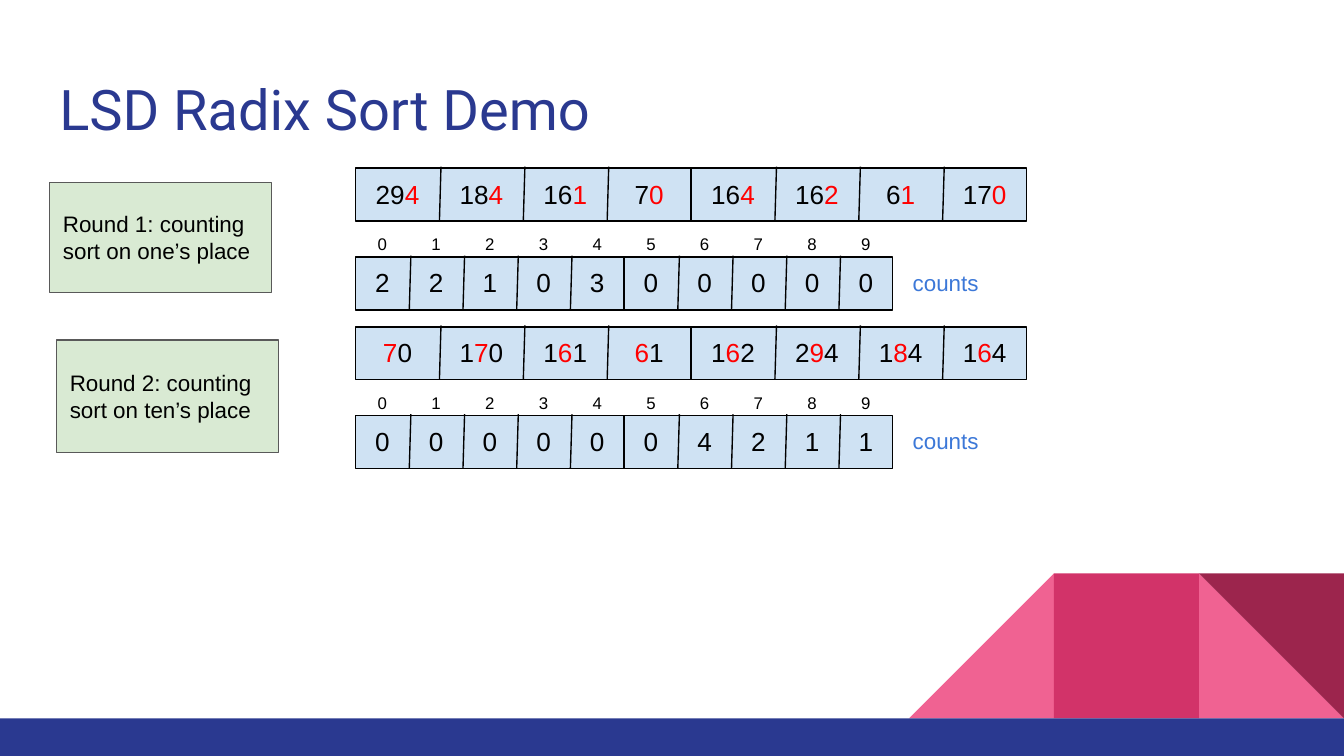
from dataclasses import dataclass

from lxml import etree
from pptx import Presentation
from pptx.dml.color import RGBColor as RGB
from pptx.enum.shapes import MSO_CONNECTOR as CONN, MSO_SHAPE as SHAPE
from pptx.enum.text import MSO_ANCHOR as ANCHOR, MSO_AUTO_SIZE as AUTO, PP_ALIGN as ALIGN
from pptx.oxml.ns import qn
from pptx.util import Cm, Pt


@dataclass(frozen=True)
class Theme:
    ink: str = "000000"
    hot: str = "FF0000"
    navy: str = "2A3990"
    label: str = "3C78D8"
    cell: str = "CFE2F3"
    note: str = "D9EAD3"
    note_line: str = "595959"
    pink: str = "F06292"
    rose: str = "D23369"
    wine: str = "9C254D"
    title_font: str = "Roboto"
    body_font: str = "Arial"
    title_size: int = 30
    value_size: int = 14
    text_size: int = 12
    index_size: int = 9
    line_width: float = 0.75


T = Theme()

prs = Presentation()
prs.slide_width, prs.slide_height = Cm(25.4), Cm(14.29)
s = prs.slides.add_slide(prs.slide_layouts[5])


def add_box(kind, x, y, w, h, fill, line=None):
    sp = s.shapes.add_shape(kind, Cm(x), Cm(y), Cm(w), Cm(h))
    sp.shadow.inherit = False
    sp.fill.solid()
    sp.fill.fore_color.rgb = RGB.from_string(fill)
    if line:
        sp.line.color.rgb = RGB.from_string(line)
        sp.line.width = Pt(T.line_width)
    else:
        sp.line.fill.background()
    return sp


def write(sp, runs, size, align=ALIGN.LEFT, anchor=ANCHOR.TOP, font=T.body_font):
    """Fill a shape with one paragraph of (text, colour) runs."""
    tf = sp.text_frame
    tf.word_wrap = True
    tf.auto_size = AUTO.NONE
    tf.vertical_anchor = anchor
    tf.margin_left = tf.margin_right = tf.margin_top = tf.margin_bottom = Cm(0.25)
    p = tf.paragraphs[0]
    p.alignment = align
    for text, colour in runs:
        r = p.add_run()
        r.text = text
        r.font.name = font
        r.font.size = Pt(size)
        r.font.color.rgb = RGB.from_string(colour)


# Corner decoration, in square tiles counted from the right edge
TILE, BAR_TOP = 2.74, 13.58
for kind, column, colour, flip, turn in [
    (SHAPE.RIGHT_TRIANGLE, 1, T.pink, False, 0),
    (SHAPE.RIGHT_TRIANGLE, 3, T.pink, True, 0),
    (SHAPE.RECTANGLE, 2, T.rose, False, 0),
    (SHAPE.RIGHT_TRIANGLE, 1, T.wine, False, 180),
]:
    sp = add_box(kind, 25.4 - column * TILE, BAR_TOP - TILE, TILE, TILE, colour)
    sp.rotation = turn
    if flip:
        sp.element.spPr.find(qn("a:xfrm")).set("flipH", "1")
add_box(SHAPE.RECTANGLE, 0, BAR_TOP, 25.4, 0.71, T.navy)

# Title
title = s.shapes.title
title.left, title.top, title.width, title.height = Cm(0.87), Cm(1.15), Cm(23.67), Cm(1.67)
write(title, [("LSD Radix Sort Demo", T.navy)], T.title_size, font=T.title_font)

# Rounds: note frame, note, values, highlighted digit (from the right), counts
rounds = [
    ((0.94, 3.45, 4.19, 2.08), "Round 1: counting sort on one’s place",
     "294 184 161 70 164 162 61 170", 1, "2 2 1 0 3 0 0 0 0 0"),
    ((1.07, 6.43, 4.19, 2.13), "Round 2: counting sort on ten’s place",
     "70 170 161 61 162 294 184 164", 2, "0 0 0 0 0 0 4 2 1 1"),
]
LEFT, ROW_H = 6.72, 1.02
VALUES_W, COUNTS_W = 12.68, 10.15
FIRST_TOP, ROUND_STEP = 3.15, 3.0

for n, (frame, note, values, place, counts) in enumerate(rounds):
    top = FIRST_TOP + n * ROUND_STEP
    counts_top = top + 1.68
    sp = add_box(SHAPE.RECTANGLE, *frame, T.note, T.note_line)
    write(sp, [(note, T.ink)], T.text_size, anchor=ANCHOR.MIDDLE)

    # Each value is split around the digit being sorted
    value_runs = []
    for v in values.split():
        i = len(v) - place
        parts = [(v[:i], T.ink), (v[i], T.hot), (v[i + 1:], T.ink)]
        value_runs.append([part for part in parts if part[0]])
    count_runs = [[(c, T.ink)] for c in counts.split()]

    # Arrays: two half bars, dividers inside each half, then the cell text
    for y, width, cells in [(top, VALUES_W, value_runs), (counts_top, COUNTS_W, count_runs)]:
        step = width / len(cells)
        half = len(cells) // 2
        for side in range(2):
            add_box(SHAPE.RECTANGLE, LEFT + side * width / 2, y + 0.03, width / 2, 1.0,
                    T.cell, T.ink)
        for i, runs in enumerate(cells):
            x = LEFT + i * step
            if i % half:
                line = s.shapes.add_connector(
                    CONN.STRAIGHT, Cm(x + 0.03), Cm(y), Cm(x), Cm(y + ROW_H))
                line.line.color.rgb = RGB.from_string(T.ink)
                line.line.width = Pt(T.line_width)
                etree.SubElement(line.element.spPr, qn("a:effectLst"))
            sp = s.shapes.add_textbox(Cm(x), Cm(y), Cm(step), Cm(ROW_H))
            write(sp, runs, T.value_size, ALIGN.CENTER, ANCHOR.MIDDLE)

    # Index labels above the counts, and the caption beside them
    step = COUNTS_W / len(count_runs)
    for i in range(len(count_runs)):
        sp = s.shapes.add_textbox(Cm(LEFT + i * step), Cm(top + ROW_H), Cm(step), Cm(0.66))
        write(sp, [(str(i), T.ink)], T.index_size, ALIGN.CENTER)
    sp = s.shapes.add_textbox(Cm(17), Cm(counts_top), Cm(2.41), Cm(ROW_H))
    write(sp, [("counts", T.label)], T.text_size)

prs.save("out.pptx")
